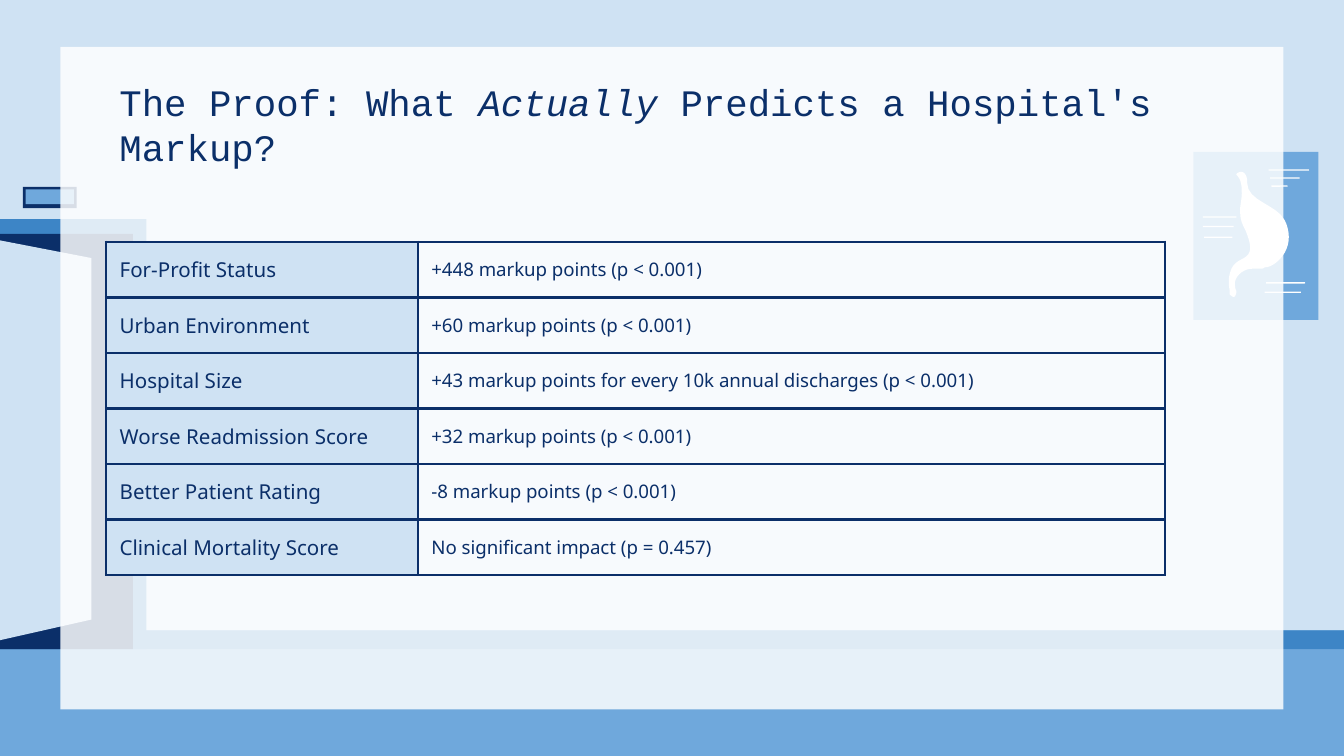
from lxml.etree import SubElement
from pptx import Presentation
from pptx.dml.color import RGBColor
from pptx.enum.shapes import MSO_SHAPE as Shape
from pptx.enum.text import MSO_ANCHOR as Anchor, PP_ALIGN as Align
from pptx.oxml.ns import qn
from pptx.util import Inches, Pt

COLORS = {
    "navy": "0B2F69",
    "blue": "3D85C6",
    "sky": "6FA8DC",
    "pale": "CFE2F3",
    "white": "FFFFFF",
}
FINDINGS = [
    ("For-Profit Status", "+448 markup points (p < 0.001)"),
    ("Urban Environment", "+60 markup points (p < 0.001)"),
    ("Hospital Size", "+43 markup points for every 10k annual discharges (p < 0.001)"),
    ("Worse Readmission Score", "+32 markup points (p < 0.001)"),
    ("Better Patient Rating", "-8 markup points (p < 0.001)"),
    ("Clinical Mortality Score", "No significant impact (p = 0.457)"),
]
STOMACH_START = (0.35, 0.15)
STOMACH_CURVES = [
    [(0.34, 0.15), (0.32, 0.16), (0.32, 0.17)],
    [(0.36, 0.21), (0.36, 0.26), (0.36, 0.31)],
    [(0.36, 0.37), (0.34, 0.42), (0.35, 0.47)],
    [(0.35, 0.51), (0.37, 0.55), (0.39, 0.59)],
    [(0.41, 0.64), (0.44, 0.72), (0.41, 0.76)],
    [(0.40, 0.78), (0.36, 0.80), (0.34, 0.81)],
    [(0.31, 0.83), (0.29, 0.85), (0.28, 0.88)],
    [(0.26, 0.93), (0.26, 0.98), (0.27, 1.03)],
    [(0.27, 1.04), (0.27, 1.05), (0.27, 1.06)],
    [(0.28, 1.07), (0.29, 1.08), (0.30, 1.08)],
    [(0.31, 1.08), (0.32, 1.06), (0.32, 1.04)],
    [(0.32, 1.03), (0.31, 1.02), (0.31, 1.00)],
    [(0.30, 0.96), (0.33, 0.91), (0.37, 0.89)],
    [(0.40, 0.87), (0.43, 0.87), (0.46, 0.87)],
    [(0.47, 0.87), (0.48, 0.87), (0.50, 0.87)],
    [(0.51, 0.87), (0.52, 0.87), (0.53, 0.86)],
    [(0.59, 0.86), (0.65, 0.80), (0.68, 0.75)],
    [(0.72, 0.68), (0.72, 0.59), (0.68, 0.51)],
    [(0.62, 0.39), (0.40, 0.37), (0.40, 0.23)],
    [(0.40, 0.21), (0.40, 0.18), (0.38, 0.16)],
    [(0.37, 0.15), (0.36, 0.15), (0.35, 0.15)],
]
LABEL_LINES = [
    (0.56, 0.13, 0.30), (0.57, 0.19, 0.22), (0.58, 0.25, 0.12),
    (0.07, 0.48, 0.25), (0.07, 0.55, 0.23), (0.08, 0.63, 0.21),
    (0.54, 0.97, 0.29), (0.53, 1.04, 0.27),
]


def rgb(color):
    """Return the named palette colour."""
    return RGBColor.from_string(COLORS[color])


def paint(shape, color):
    """Give a shape a flat fill without line or shadow."""
    shape.shadow.inherit = False
    shape.fill.solid()
    shape.fill.fore_color.rgb = rgb(color)
    shape.line.fill.background()
    return shape


def add_block(slide, left, top, width, height, color, kind=Shape.RECTANGLE):
    """Add a flat preset shape."""
    box = [Inches(value) for value in (left, top, width, height)]
    return paint(slide.shapes.add_shape(kind, *box), color)


def add_outline(slide, left, top, points, color):
    """Add a closed polygon with points relative to left and top."""
    corners = [(Inches(left + x), Inches(top + y)) for x, y in points]
    builder = slide.shapes.build_freeform(*corners[0])
    builder.add_line_segments(corners[1:], close=True)
    return paint(builder.convert_to_shape(), color)


def flatten(start, curves, steps=8):
    """Turn a chain of cubic curves into points."""
    points = [start]
    for first, second, end in curves:
        origin = points[-1]
        for step in range(1, steps + 1):
            t = step / steps
            u = 1 - t
            weights = (u ** 3, 3 * u * u * t, 3 * u * t * t, t ** 3)
            anchors = (origin, first, second, end)
            points.append(tuple(
                sum(w * anchor[axis] for w, anchor in zip(weights, anchors))
                for axis in (0, 1)
            ))
    return points


def write(paragraph, text, size=10, font="Noto Sans", color="navy", italic=False):
    """Append a formatted run to a paragraph."""
    run = paragraph.add_run()
    run.text = text
    run.font.size = Pt(size)
    run.font.name = font
    run.font.italic = italic
    run.font.color.rgb = rgb(color)


def add_poster(slide, left, top, width, height):
    """Draw the anatomy poster on the wall."""
    add_block(slide, left, top, width, height, "sky")
    add_outline(slide, left, top, flatten(STOMACH_START, STOMACH_CURVES), "white")
    for x, y, length in LABEL_LINES:
        add_block(slide, left + x, top + y, length, 0.01, "white", Shape.ROUNDED_RECTANGLE)


def add_floor(slide, left, top, width, height):
    """Draw the floor and its skirting board."""
    add_block(slide, left, top, width, height, "sky")
    add_block(slide, left + 0.05, top, width - 0.05, 0.14, "blue")


def add_doorway(slide, left, top, width, height):
    """Draw the door frame, the open door and the sign above it."""
    add_block(slide, left, top, width, height, "blue")
    add_block(slide, left + 0.09, top + 0.11, width - 0.19, height - 0.11, "navy")
    door = [(0, 0), (0.93, 0.18), (0.93, 2.87), (0, 3.08)]
    add_outline(slide, left + 0.09, top + 0.11, door, "pale")
    add_block(slide, left + 0.51, top - 0.24, 0.4, 0.16, "navy")
    add_block(slide, left + 0.53, top - 0.22, 0.36, 0.11, "sky")


def add_panel(slide, left, top, width, height):
    """Lay the translucent white panel over the scene."""
    panel = add_block(slide, left, top, width, height, "white")
    color = panel.element.spPr.find(qn("a:solidFill"))[0]
    SubElement(color, qn("a:alpha"), val="84000")


def add_title(slide, left, top, width, height):
    """Write the slide title."""
    box = [Inches(value) for value in (left, top, width, height)]
    frame = slide.shapes.add_textbox(*box).text_frame
    frame.word_wrap = True
    frame.margin_left = frame.margin_right = Inches(0.1)
    frame.margin_top = frame.margin_bottom = Inches(0.1)
    paragraph = frame.paragraphs[0]
    parts = ("The Proof: What ", "Actually", " Predicts a Hospital's Markup?")
    for text in parts:
        write(paragraph, text, size=20, font="Courier New", italic=text == "Actually")


def add_borders(cell):
    """Draw a navy line on every side of a cell."""
    properties = cell._tc.get_or_add_tcPr()
    for index, side in enumerate(("lnL", "lnR", "lnT", "lnB")):
        line = properties.makeelement(qn(f"a:{side}"), {"w": str(Pt(1.5))})
        fill = SubElement(line, qn("a:solidFill"))
        SubElement(fill, qn("a:srgbClr"), val=COLORS["navy"])
        properties.insert(index, line)


def add_findings(slide, left, top, width, height):
    """Build the table of markup predictors."""
    box = [Inches(value) for value in (left, top, width, height)]
    table = slide.shapes.add_table(len(FINDINGS), 2, *box).table
    table.first_row = table.horz_banding = False
    table.columns[0].width = Inches(2.32)
    table.columns[1].width = Inches(width - 2.32)
    for row, texts in enumerate(FINDINGS):
        for column, text in enumerate(texts):
            cell = table.cell(row, column)
            cell.vertical_anchor = Anchor.MIDDLE
            cell.margin_left = cell.margin_right = Inches(0.1)
            cell.margin_top = cell.margin_bottom = 0
            paragraph = cell.text_frame.paragraphs[0]
            paragraph.alignment = Align.LEFT
            write(paragraph, text, size=10 if column else 11)
            if column:
                paragraph.space_after = Pt(16)
                cell.fill.background()
            else:
                cell.fill.solid()
                cell.fill.fore_color.rgb = rgb("pale")
            add_borders(cell)


def main():
    """Build and save the presentation."""
    presentation = Presentation()
    presentation.slide_width = Inches(10)
    presentation.slide_height = Inches(10 * 9 / 16)
    slide = presentation.slides.add_slide(presentation.slide_layouts[6])
    slide.background.fill.solid()
    slide.background.fill.fore_color.rgb = rgb("pale")
    add_poster(slide, 8.88, 1.13, 0.93, 1.25)
    add_floor(slide, -0.05, 4.69, 10.1, 0.95)
    add_doorway(slide, -0.34, 1.63, 1.43, 3.2)
    add_panel(slide, 0.45, 0.35, 9.1, 4.93)
    add_title(slide, 0.79, 0.49, 8.43, 0.63)
    add_findings(slide, 0.79, 1.8, 7.88, 2.48)
    presentation.save("out.pptx")


if __name__ == "__main__":
    main()
